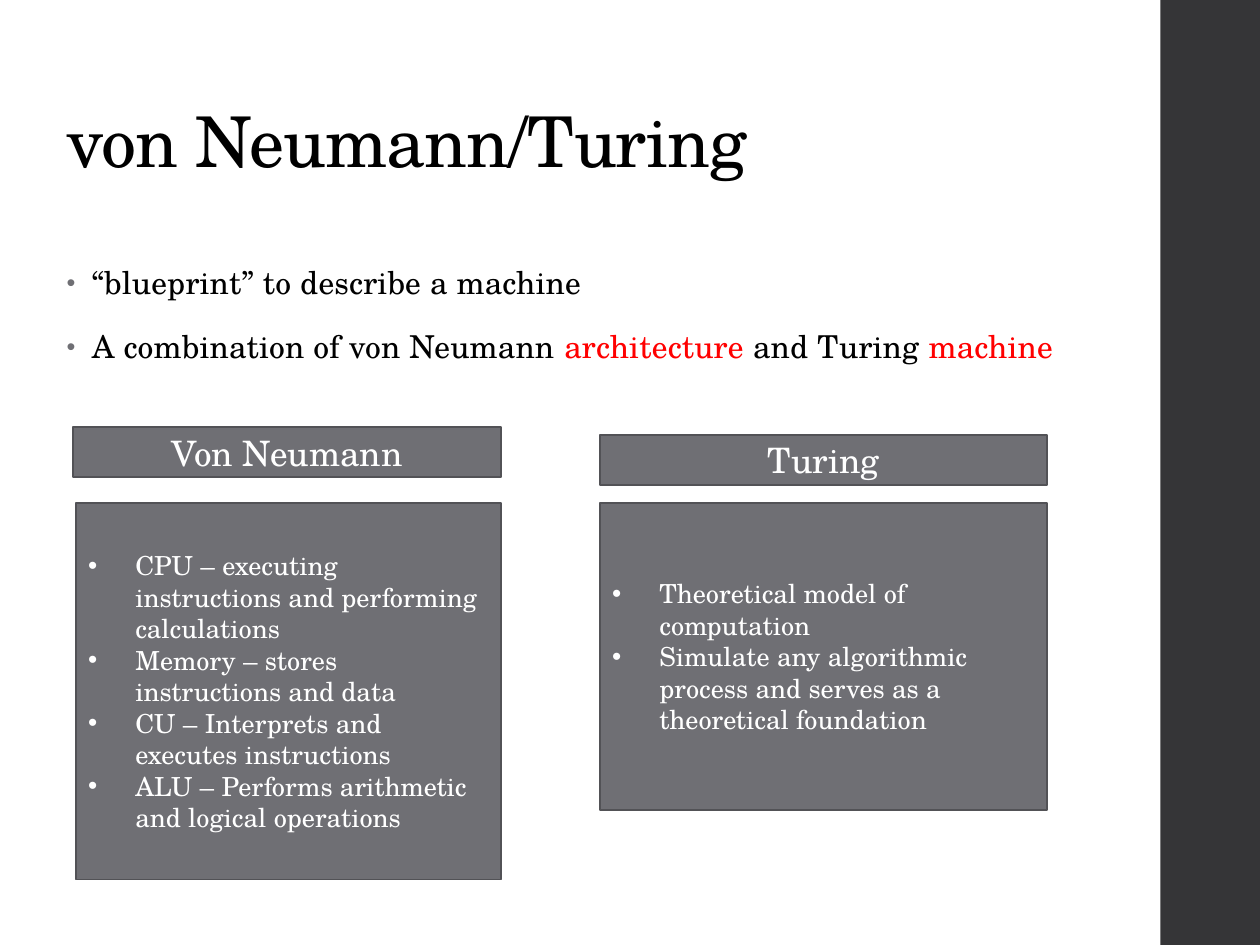
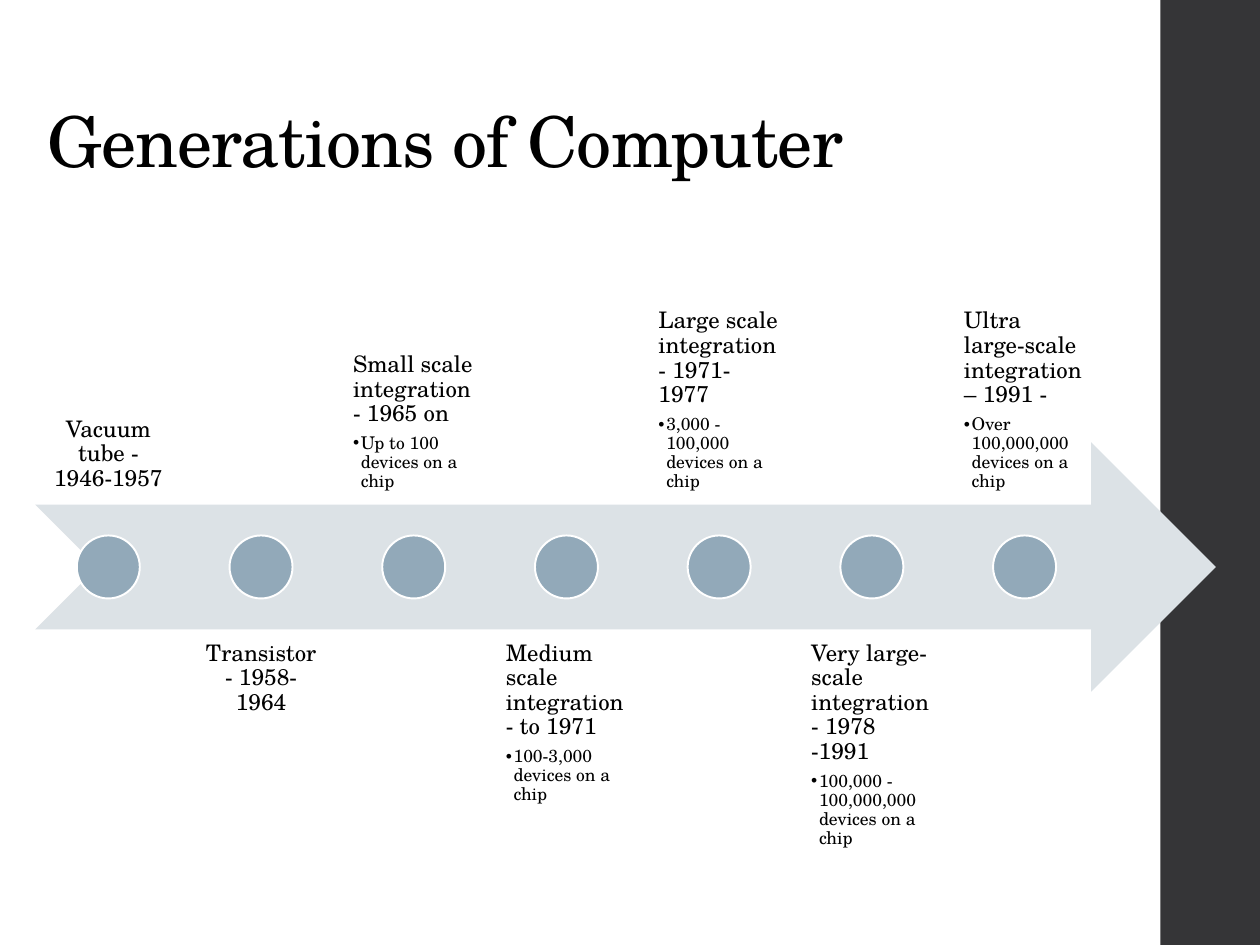
"""Build two slides on machine models and computer generations."""
from dataclasses import dataclass
from typing import Optional

import pptx
import pptx.util
from lxml import etree
from pptx.dml.color import RGBColor
from pptx.enum.shapes import MSO_SHAPE
from pptx.enum.text import MSO_ANCHOR, PP_ALIGN
from pptx.oxml.ns import qn

SLIDE_WIDTH = pptx.util.Inches(10)
SLIDE_HEIGHT = pptx.util.Inches(7.5)
COLUMNS, ROWS = 100, 75
FONT = "TeX Gyre Schola"
BLACK, WHITE, RED = "000000", "FFFFFF", "FF0000"
BAND, PANEL, PANEL_EDGE = "353537", "6F6F74", "525256"
ARROW, MARKER = "DCE2E6", "92A9B9"
EDGE_WIDTH = 1.1


@dataclass(frozen=True)
class Box:
    """Place on the slide grid, in columns and rows."""
    left: float
    top: float
    width: float
    height: float

    def place(self) -> tuple[int, int, int, int]:
        """Return the box in slide units."""
        return (across(self.left), down(self.top), across(self.width), down(self.height))


@dataclass(frozen=True)
class Bullet:
    """Look of a bulleted paragraph; indent in columns."""
    indent: float
    color: Optional[str] = None
    percent: int = 100


@dataclass(frozen=True)
class Model:
    """A machine model with its heading and its details."""
    name: str
    heading: Box
    panel: Box
    details: tuple[str, ...]


@dataclass(frozen=True)
class Generation:
    """A computer generation on the timeline."""
    name: str
    devices: str = ""


BODY_BULLET = Bullet(2, PANEL, 80)
PANEL_BULLET = Bullet(3.75)
DEVICE_BULLET = Bullet(0.62)

MODELS = (
    Model("Von Neumann", Box(5.8, 33.9, 34, 4), Box(6, 39.9, 33.8, 29.9), (
        "CPU – executing instructions and performing calculations",
        "Memory – stores instructions and data",
        "CU – Interprets and executes instructions",
        "ALU – Performs arithmetic and logical operations")),
    Model("Turing", Box(47.6, 34.5, 35.5, 4), Box(47.6, 39.9, 35.5, 24.4), (
        "Theoretical model of computation",
        "Simulate any algorithmic process and serves as a theoretical foundation")),
)

GENERATIONS = (
    Generation("Vacuum tube - 1946-1957"),
    Generation("Transistor - 1958-1964"),
    Generation("Small scale integration - 1965 on", "Up to 100 devices on a chip"),
    Generation("Medium scale integration - to 1971", "100-3,000 devices on a chip"),
    Generation("Large scale integration - 1971-1977", "3,000 - 100,000 devices on a chip"),
    Generation("Very large-scale integration - 1978 -1991",
               "100,000 - 100,000,000 devices on a chip"),
    Generation("Ultra large-scale integration – 1991 -", "Over 100,000,000 devices on a chip"),
)
TIMELINE = Box(2.8, 35.1, 93.7, 19.8)
LABEL_WIDTH, LABEL_PITCH = 11.6, 12.12
LABEL_TOPS = (20.2, 49.9)
MARKER_SIZE = 5


def across(columns: float) -> int:
    """Turn grid columns into slide units."""
    return round(SLIDE_WIDTH * columns / COLUMNS)


def down(rows: float) -> int:
    """Turn grid rows into slide units."""
    return round(SLIDE_HEIGHT * rows / ROWS)


def rgb(color: str) -> RGBColor:
    """Turn a hex string into a colour."""
    return RGBColor.from_string(color)


def add_bullet(paragraph, bullet: Bullet) -> None:
    """Give a paragraph a hanging bullet."""
    properties = paragraph._p.get_or_add_pPr()
    properties.set("marL", str(across(bullet.indent)))
    properties.set("indent", str(-across(bullet.indent)))
    if bullet.color:
        holder = etree.SubElement(properties, qn("a:buClr"))
        etree.SubElement(holder, qn("a:srgbClr"), val=bullet.color)
    etree.SubElement(properties, qn("a:buSzPct"), val=str(bullet.percent * 1000))
    etree.SubElement(properties, qn("a:buFont"), typeface="Arial")
    etree.SubElement(properties, qn("a:buChar"), char="•")


def write(frame, text: str, *, size: float, color: str = BLACK, accent: str = RED,
          align=PP_ALIGN.LEFT, line: float = 1, before: float = 0, after: float = 0,
          tracking: int = 0, bullet: Optional[Bullet] = None) -> None:
    """Add a paragraph; parts between asterisks take the accent colour."""
    paragraph = frame.paragraphs[0]
    if paragraph.runs:
        paragraph = frame.add_paragraph()
        paragraph.space_before = pptx.util.Pt(before)
    if bullet:
        add_bullet(paragraph, bullet)
    paragraph.alignment = align
    paragraph.line_spacing = line
    paragraph.space_after = pptx.util.Pt(after)
    for index, part in enumerate(text.split("*")):
        if not part:
            continue
        run = paragraph.add_run()
        run.text = part
        run.font.name = FONT
        run.font.size = pptx.util.Pt(size)
        run.font.color.rgb = rgb(accent if index % 2 else color)
        if tracking:
            run._r.get_or_add_rPr().set("spc", str(tracking))


def add_text_box(slide, box: Box, anchor=MSO_ANCHOR.TOP, inset: Optional[float] = None):
    """Add a wrapping text box and return its text frame."""
    frame = slide.shapes.add_textbox(*box.place()).text_frame
    frame.word_wrap = True
    frame.vertical_anchor = anchor
    if inset is not None:
        frame.margin_left = frame.margin_right = across(inset)
        frame.margin_top = frame.margin_bottom = down(inset)
    return frame


def add_shape(slide, kind, box: Box, fill: str, edge: Optional[str] = None):
    """Add a flat preset shape and return its text frame."""
    shape = slide.shapes.add_shape(kind, *box.place())
    shape.shadow.inherit = False
    shape.fill.solid()
    shape.fill.fore_color.rgb = rgb(fill)
    if edge:
        shape.line.color.rgb = rgb(edge)
        shape.line.width = pptx.util.Pt(EDGE_WIDTH)
    else:
        shape.line.fill.background()
    shape.text_frame.word_wrap = True
    shape.text_frame.vertical_anchor = MSO_ANCHOR.MIDDLE
    return shape.text_frame


def add_slide(presentation, title: str, title_left: float):
    """Add a slide with the side band and a title."""
    slide = presentation.slides.add_slide(presentation.slide_layouts[6])
    add_shape(slide, MSO_SHAPE.RECTANGLE, Box(92.1, 0, 7.9, ROWS), BAND)
    title_box = Box(title_left, 2.5, 89.7 - title_left, 12.5)
    write(add_text_box(slide, title_box, MSO_ANCHOR.BOTTOM), title,
          size=40, line=0.9, tracking=-50)
    return slide


def add_model(slide, model: Model) -> None:
    """Draw the heading and the panel of a machine model."""
    panel = add_shape(slide, MSO_SHAPE.RECTANGLE, model.panel, PANEL, PANEL_EDGE)
    for detail in model.details:
        write(panel, detail, size=15, color=WHITE, bullet=PANEL_BULLET)
    heading = add_shape(slide, MSO_SHAPE.RECTANGLE, model.heading, PANEL, PANEL_EDGE)
    write(heading, model.name, size=20, color=WHITE, align=PP_ALIGN.CENTER)


def add_generation(slide, index: int, generation: Generation) -> None:
    """Draw a generation's marker, with its label above or below in turn."""
    left = TIMELINE.left + index * LABEL_PITCH
    below = index % 2
    label = add_text_box(slide, Box(left, LABEL_TOPS[below], LABEL_WIDTH, TIMELINE.height),
                         MSO_ANCHOR.TOP if below else MSO_ANCHOR.BOTTOM, inset=1)
    write(label, generation.name, size=13, line=0.9, after=4.5,
          align=PP_ALIGN.LEFT if generation.devices else PP_ALIGN.CENTER)
    if generation.devices:
        write(label, generation.devices, size=10, line=0.9, after=1.5, bullet=DEVICE_BULLET)
    marker = Box(left + (LABEL_WIDTH - MARKER_SIZE) / 2,
                 TIMELINE.top + (TIMELINE.height - MARKER_SIZE) / 2, MARKER_SIZE, MARKER_SIZE)
    add_shape(slide, MSO_SHAPE.OVAL, marker, MARKER, WHITE)


def build_models(presentation) -> None:
    """Build the slide that compares the two machine models."""
    slide = add_slide(presentation, "von Neumann/Turing", 4.3)
    body = add_text_box(slide, Box(4.3, 20.6, 85.1, 12))
    for point in ("“blueprint” to describe a machine",
                  "A combination of von Neumann *architecture* and Turing *machine*"):
        write(body, point, size=18, line=0.95, before=14, after=2, tracking=10,
              bullet=BODY_BULLET)
    for model in MODELS:
        add_model(slide, model)


def build_timeline(presentation) -> None:
    """Build the slide with the timeline of generations."""
    slide = add_slide(presentation, "Generations of Computer", TIMELINE.left)
    add_shape(slide, MSO_SHAPE.NOTCHED_RIGHT_ARROW, TIMELINE, ARROW)
    for index, generation in enumerate(GENERATIONS):
        add_generation(slide, index, generation)


def main() -> None:
    """Build and save the presentation."""
    presentation = pptx.Presentation()
    presentation.slide_width = SLIDE_WIDTH
    presentation.slide_height = SLIDE_HEIGHT
    build_models(presentation)
    build_timeline(presentation)
    presentation.save("out.pptx")


if __name__ == "__main__":
    main()
